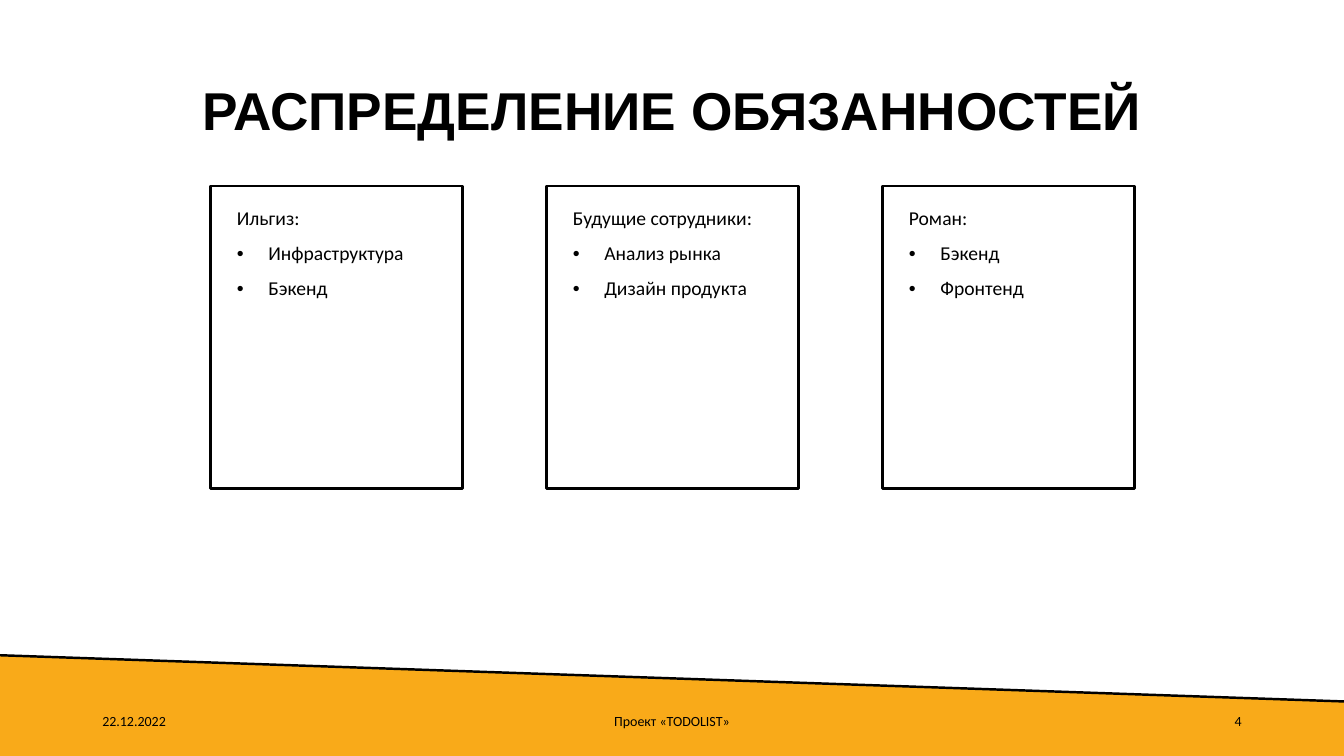
from lxml import etree
from pptx import Presentation
from pptx.dml.color import RGBColor
from pptx.enum import shapes, text
from pptx.oxml import ns
from pptx.util import Pt

BLACK = RGBColor(0x00, 0x00, 0x00)
ORANGE = RGBColor(0xF9, 0xAA, 0x19)
LINE_WIDTH = Pt(1.75)

BAND_LEFT, BAND_RIGHT = Pt(-0.7), Pt(961.2)
BAND_LEFT_TOP, BAND_RIGHT_TOP = Pt(468), Pt(501.1)
BAND_LEFT_BOTTOM, BAND_RIGHT_BOTTOM = Pt(540), Pt(542)

CARD_LEFT, CARD_TOP, CARD_STEP = 150.3, 133, 240
CARDS = [
    ("Ильгиз:", ["Инфраструктура", "Бэкенд"]),
    ("Будущие сотрудники:", ["Анализ рынка", "Дизайн продукта"]),
    ("Роман:", ["Бэкенд", "Фронтенд"]),
]
FOOTERS = [
    (66, 216, "22.12.2022", text.PP_ALIGN.LEFT),
    (318, 324, "Проект «TODOLIST»", text.PP_ALIGN.CENTER),
    (678, 216, "4", text.PP_ALIGN.RIGHT),
]


def add_text(slide, left, top, width, height, lines, size, font="Calibri",
             bold=False, align=text.PP_ALIGN.LEFT,
             anchor=text.MSO_ANCHOR.MIDDLE):
    box = slide.shapes.add_textbox(Pt(left), Pt(top), Pt(width), Pt(height))
    frame = box.text_frame
    frame.word_wrap = True
    frame.vertical_anchor = anchor
    frame.text = "\n".join(lines)
    for paragraph in frame.paragraphs:
        paragraph.alignment = align
        paragraph.font.name = font
        paragraph.font.size = Pt(size)
        paragraph.font.bold = bold
        paragraph.font.color.rgb = BLACK
    return frame


def add_bullet(paragraph):
    properties = paragraph._p.get_or_add_pPr()
    properties.set("marL", str(Pt(22.5)))
    properties.set("indent", str(Pt(-22.5)))
    bullet_font = etree.Element(ns.qn("a:buFont"), typeface="Arial")
    bullet = etree.Element(ns.qn("a:buChar"), char="•")
    default_run = properties.find(ns.qn("a:defRPr"))
    default_run.addprevious(bullet_font)
    default_run.addprevious(bullet)


def add_card(slide, left, heading, duties):
    card = slide.shapes.add_shape(
        shapes.MSO_SHAPE.RECTANGLE, Pt(left), Pt(CARD_TOP), Pt(180), Pt(216))
    card.shadow.inherit = False
    card.fill.background()
    card.line.color.rgb = BLACK
    card.line.width = LINE_WIDTH
    frame = add_text(slide, left + 11.8, CARD_TOP + 12.5, 144, 103.7,
                     [heading, *duties], 14, anchor=text.MSO_ANCHOR.TOP)
    for paragraph in frame.paragraphs:
        paragraph.line_spacing = 0.9
        paragraph.space_before = Pt(10)
    for paragraph in frame.paragraphs[1:]:
        add_bullet(paragraph)


def add_footer_band(slide):
    builder = slide.shapes.build_freeform(BAND_RIGHT, BAND_RIGHT_TOP)
    builder.add_line_segments([
        (BAND_LEFT, BAND_LEFT_TOP),
        (BAND_LEFT, BAND_LEFT_BOTTOM),
        (BAND_RIGHT, BAND_RIGHT_BOTTOM),
    ])
    band = builder.convert_to_shape()
    band.shadow.inherit = False
    band.fill.solid()
    band.fill.fore_color.rgb = ORANGE
    band.line.fill.background()

    edge = slide.shapes.add_connector(
        shapes.MSO_CONNECTOR.STRAIGHT,
        BAND_LEFT, BAND_LEFT_TOP, BAND_RIGHT, BAND_RIGHT_TOP)
    edge.line.color.rgb = BLACK
    edge.line.width = LINE_WIDTH
    etree.SubElement(edge._element.spPr, ns.qn("a:effectLst"))


def main():
    presentation = Presentation()
    presentation.slide_width = Pt(960)
    presentation.slide_height = Pt(540)
    slide = presentation.slides.add_slide(presentation.slide_layouts[6])

    add_footer_band(slide)
    title = add_text(slide, 66, 28.8, 828, 104.4,
                     ["РАСПРЕДЕЛЕНИЕ ОБЯЗАННОСТЕЙ"], 38, font="Arial",
                     bold=True, align=text.PP_ALIGN.CENTER)
    title.paragraphs[0].line_spacing = 0.9
    for index, (heading, duties) in enumerate(CARDS):
        add_card(slide, CARD_LEFT + index * CARD_STEP, heading, duties)
    for left, width, label, align in FOOTERS:
        add_text(slide, left, 500.5, width, 28.8, [label], 10, align=align)

    presentation.save("out.pptx")


if __name__ == "__main__":
    main()
